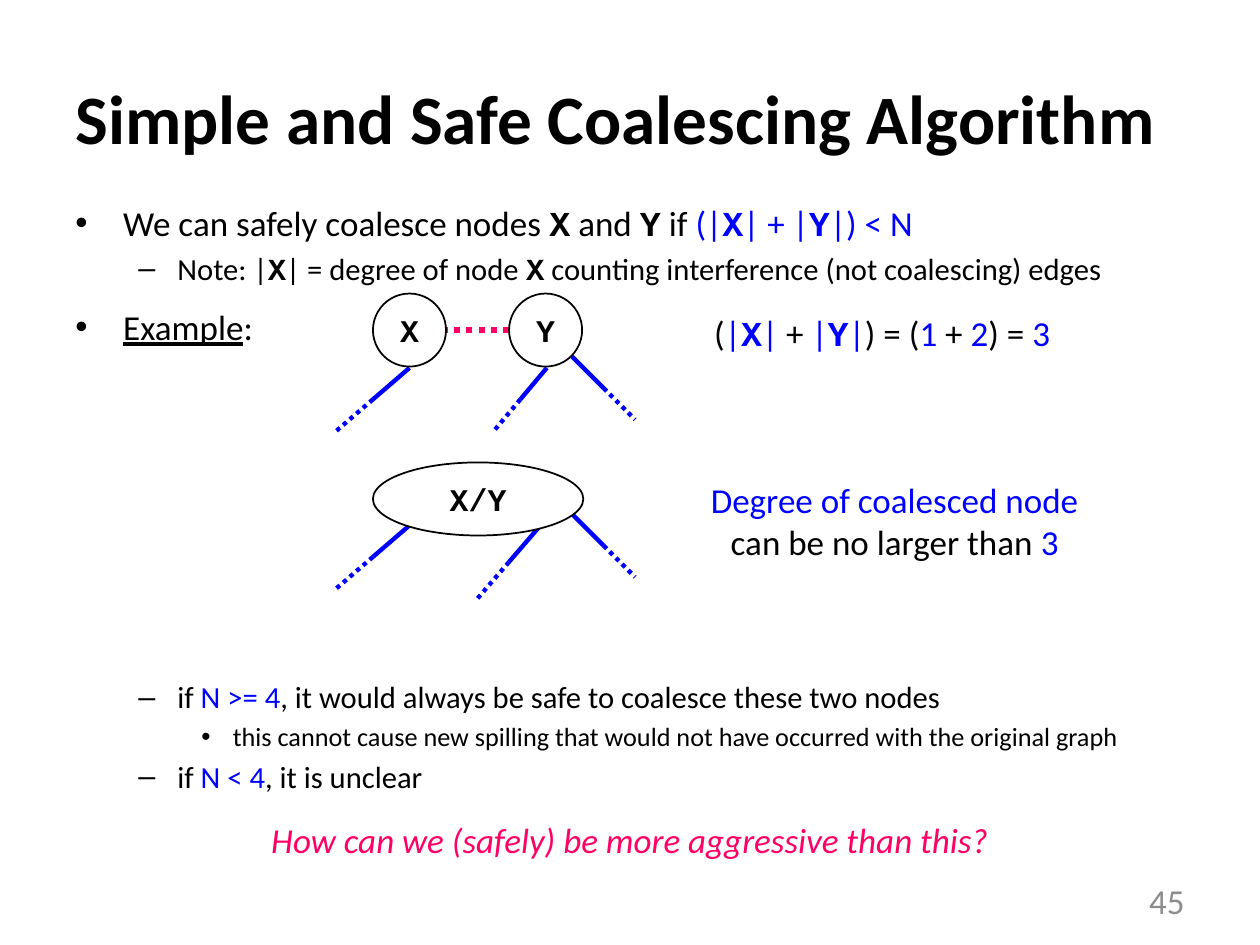
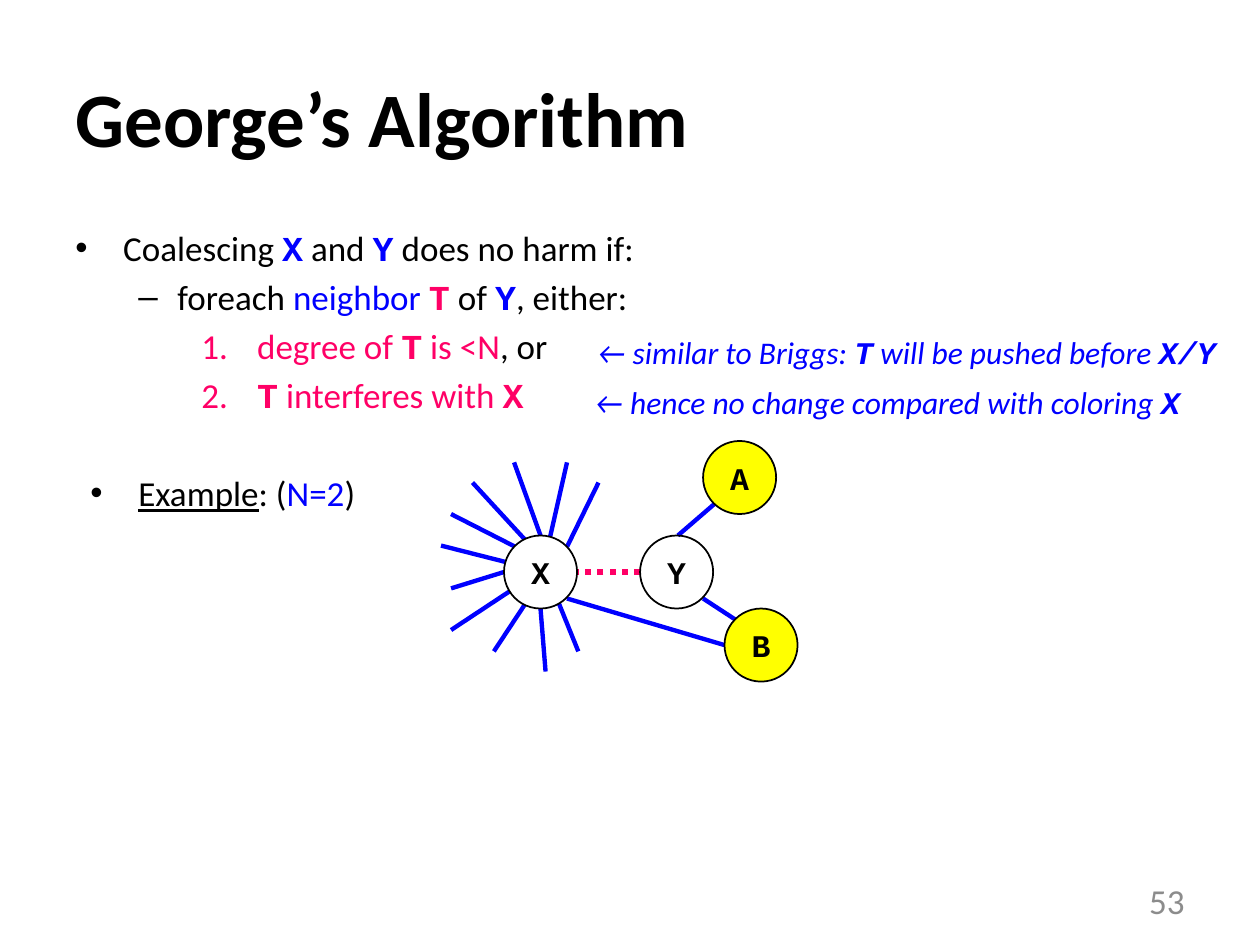
import pptx
import pptx.util
import pptx.dml.color
import pptx.enum.dml
import pptx.enum.shapes
import pptx.enum.text
import pptx.oxml
import pptx.oxml.ns
from lxml import etree

Inches, Pt = pptx.util.Inches, pptx.util.Pt
Align, Anchor = pptx.enum.text.PP_ALIGN, pptx.enum.text.MSO_ANCHOR


class Theme:
    black, white, blue, pink, yellow, grey = (
        pptx.dml.color.RGBColor.from_string(code)
        for code in ("000000", "FFFFFF", "0000FF", "FF0066", "FFFF00", "8C8C8C"))
    sans, mono = "Calibri", "Courier New"
    body, second, third, label = 20, 17.5, 15, 18
    edge, move, outline = 2.5, 3.5, 1
    node = 0.58


# Run styles: one letter each; "x" marks a node name
STYLES = {
    "b": {"color": Theme.blue}, "p": {"color": Theme.pink}, "g": {"color": Theme.grey},
    "x": {"name": Theme.mono, "bold": True}, "h": {"bold": True},
    "i": {"italic": True}, "u": {"underline": True},
}
# Paragraph levels: bullet, text indent, hanging indent
LEVELS = {
    "dot": ("•", 0.38, 0.38), "dash": ("–", 0.81, 0.31), "subdot": ("•", 1.25, 0.25),
    "number": ("auto", 1.38, 0.38), "inset": ("•", 0.5, 0.38), "plain": (None, 0, 0),
}


def write(shape, paragraphs, anchor=Anchor.TOP, align=Align.LEFT, wrap=True):
    """Each paragraph is (level, size, space before, runs); each run (text, styles)."""
    frame = shape.text_frame
    frame.word_wrap, frame.vertical_anchor = wrap, anchor
    for index, (level, size, before, runs) in enumerate(paragraphs):
        para = frame.add_paragraph() if index else frame.paragraphs[0]
        para.space_before = Pt(before)
        para.alignment = align
        bullet, indent, hanging = LEVELS[level]
        if bullet:
            props = para._p.get_or_add_pPr()
            props.set("marL", str(Inches(indent)))
            props.set("indent", str(-Inches(hanging)))
            if bullet == "auto":
                etree.SubElement(props, pptx.oxml.ns.qn("a:buAutoNum"), type="arabicPeriod")
            else:
                etree.SubElement(props, pptx.oxml.ns.qn("a:buFont"), typeface="Arial")
                etree.SubElement(props, pptx.oxml.ns.qn("a:buChar"), char=bullet)
        for text, styles in runs:
            span = para.add_run()
            span.text = text
            values = {"name": Theme.sans, "size": Pt(size), "color": Theme.black}
            for letter in styles:
                values.update(STYLES[letter])
            span.font.color.rgb = values.pop("color")
            for key, value in values.items():
                setattr(span.font, key, value)


def add_edge(page, start, end, color=Theme.blue, width=Theme.edge, dotted=False):
    line = page.shapes.add_connector(
        pptx.enum.shapes.MSO_CONNECTOR.STRAIGHT, *map(Inches, start + end))
    line.line.color.rgb = color
    line.line.width = Pt(width)
    if dotted:
        line.line.dash_style = pptx.enum.dml.MSO_LINE.ROUND_DOT
        dash = line._element.spPr.find(".//" + pptx.oxml.ns.qn("a:prstDash"))
        dash.set("val", "sysDot")
    etree.SubElement(line._element.spPr, pptx.oxml.ns.qn("a:effectLst"))


# Content of the coalescing slide
coalescing = {
    "title": ("Simple and Safe Coalescing Algorithm", 39.6),
    "number": "45",
    "top": 1.55,
    "body": [
        ("dot", Theme.body, 0, [
            ("We can safely coalesce nodes ", ""), ("X", "x"), (" and ", ""), ("Y", "x"),
            (" if ", ""), ("(|", "b"), ("X", "bx"), ("| + |", "b"), ("Y", "bx"),
            ("|) < N", "b")]),
        ("dash", Theme.second, 3.5, [
            ("Note: |", ""), ("X", "x"), ("| = degree of node ", ""), ("X", "x"),
            (" counting interference (not coalescing) edges", "")]),
        ("dot", Theme.body, 11, [("Example", "u"), (":", "")]),
        ("dash", Theme.second, 189, [
            ("if ", ""), ("N >= 4", "b"),
            (", it would always be safe to coalesce these two nodes", "")]),
        ("subdot", Theme.third, 3, [
            ("this cannot cause new spilling that would not have occurred "
             "with the original graph", "")]),
        ("dash", Theme.second, 3.5, [
            ("if ", ""), ("N < 4", "b"), (", it is unclear", "")]),
        ("plain", Theme.body, 13.7, [
            ("How can we (safely) be more aggressive than this?", "pi")]),
    ],
    "edges": [],
    # Edges that fade out: a solid half, then a dotted half of equal length
    "fading": [
        ((3.25, 2.92), (-0.29, 0.25)), ((4.34, 2.92), (-0.21, 0.25)),
        ((4.54, 2.83), (0.25, 0.25)), ((3.25, 4.17), (-0.29, 0.25)),
        ((4.29, 4.17), (-0.25, 0.29)), ((4.54, 4.08), (0.25, 0.25)),
    ],
    "move": ((4.04, 2.62), (3.54, 2.62)),
    "nodes": [
        ("X", 2.96, 2.33, Theme.node, None), ("Y", 4.04, 2.33, Theme.node, None),
        ("X/Y", 2.96, 3.67, 1.67, Theme.white),
    ],
    "notes": [
        ((5.57, 2.42, 2.89, 0.44), Align.LEFT, False, Theme.body, [
            ("(", ""), ("|", "b"), ("X", "bx"), ("|", "b"), (" + ", ""), ("|", "b"),
            ("Y", "bx"), ("|", "b"), (") = (", ""), ("1", "b"), (" + ", ""), ("2", "b"),
            (") = ", ""), ("3", "b")]),
        ((5.54, 3.75, 3.12, 0.77), Align.CENTER, True, Theme.body, [
            ("Degree of coalesced node", "b"), (" can be no larger than ", ""), ("3", "b")]),
    ],
}

# Content of the George slide
george = {
    "title": ("George’s Algorithm", 44),
    "number": "53",
    "top": 1.75,
    "body": [
        ("dot", Theme.body, 0, [
            ("Coalescing ", ""), ("X", "bx"), (" and ", ""), ("Y", "bx"),
            (" does no harm if:", "")]),
        ("dash", Theme.body, 4, [
            ("foreach ", ""), ("neighbor ", "b"), ("T", "px"), (" of ", ""), ("Y", "bx"),
            (", either:", "")]),
        ("number", Theme.body, 4, [
            (" degree of ", "p"), ("T", "px"), (" is <N", "p"), (", or", "")]),
        ("number", Theme.body, 4, [
            (" ", "p"), ("T", "px"), (" interferes with ", "p"), ("X", "px")]),
        ("inset", Theme.body, 32, [
            ("Example", "u"), (": (", ""), ("N=2", "b"), (")", "")]),
    ],
    "edges": [
        # Neighbours of X, clockwise from the upper right
        ((4.5, 4.34), (4.75, 3.83)), ((4.42, 4.75), (4.59, 5.17)),
        ((4.29, 4.83), (4.33, 5.33)), ((4.25, 4.67), (3.92, 5.17)),
        ((4.08, 4.67), (3.58, 5)), ((4, 4.54), (3.58, 4.67)),
        ((4.17, 4.5), (3.5, 4.33)), ((4.09, 4.34), (3.58, 4.08)),
        ((4.21, 4.33), (3.75, 3.83)), ((4.29, 4.25), (4.08, 3.67)),
        ((4.33, 4.42), (4.5, 3.67)),
        # Y to A, Y to B, X to B
        ((5.38, 4.25), (5.67, 4)), ((5.58, 4.75), (5.84, 4.92)),
        ((4.5, 4.75), (5.75, 5.12)),
    ],
    "fading": [],
    "move": ((5.08, 4.54), (4.58, 4.54)),
    "nodes": [
        ("X", 4, 4.25, Theme.node, Theme.white), ("Y", 5.08, 4.25, Theme.node, None),
        ("A", 5.58, 3.5, Theme.node, Theme.yellow),
        ("B", 5.75, 4.83, Theme.node, Theme.yellow),
    ],
    "notes": [
        ((4.64, 2.59, 5.22, 0.4), Align.LEFT, False, Theme.label, [
            ("← similar to Briggs: ", "bi"), ("T", "bix"),
            (" will be pushed before ", "bi"), ("X/Y", "bix")]),
        ((4.62, 2.99, 4.98, 0.4), Align.LEFT, False, Theme.label, [
            ("← hence no change compared with coloring ", "bi"), ("X", "bix")]),
    ],
}

deck = pptx.Presentation()
deck.slide_width, deck.slide_height = Inches(10), Inches(7.5)

for content in (coalescing, george):
    page = deck.slides.add_slide(deck.slide_layouts[6])

    # Title, body and slide number
    title, size = content["title"]
    box = page.shapes.add_textbox(*map(Inches, (0.5, 0.3, 9, 1.25)))
    write(box, [("plain", size, 0, [(title, "h")])], Anchor.MIDDLE)
    top = content["top"]
    box = page.shapes.add_textbox(*map(Inches, (0.5, top, 9, 6.7 - top)))
    write(box, content["body"])
    for para, (level, *_) in zip(box.text_frame.paragraphs, content["body"]):
        if level == "plain":
            para.alignment = Align.CENTER
    box = page.shapes.add_textbox(*map(Inches, (7.17, 6.95, 2.33, 0.4)))
    write(box, [("plain", Theme.body, 0, [(content["number"], "g")])],
          Anchor.MIDDLE, Align.RIGHT)

    # Interference edges and the dotted move edge
    for start, end in content["edges"]:
        add_edge(page, start, end)
    for (x, y), (dx, dy) in content["fading"]:
        middle = (x + dx, y + dy)
        add_edge(page, (x, y), middle)
        add_edge(page, middle, (x + 2 * dx, y + 2 * dy), dotted=True)
    add_edge(page, *content["move"], Theme.pink, Theme.move, dotted=True)

    # Graph nodes
    for name, left, top, width, fill in content["nodes"]:
        node = page.shapes.add_shape(
            pptx.enum.shapes.MSO_SHAPE.OVAL, *map(Inches, (left, top, width, Theme.node)))
        node.shadow.inherit = False
        if fill is None:
            node.fill.background()
        else:
            node.fill.solid()
            node.fill.fore_color.rgb = fill
        node.line.color.rgb = Theme.black
        node.line.width = Pt(Theme.outline)
        write(node, [("plain", Theme.label, 0, [(name, "x")])],
              Anchor.MIDDLE, Align.CENTER, wrap=False)

    # Remarks beside the graph
    for place, align, wrap, size, runs in content["notes"]:
        box = page.shapes.add_textbox(*map(Inches, place))
        write(box, [("plain", size, 0, runs)], align=align, wrap=wrap)

deck.save("out.pptx")
